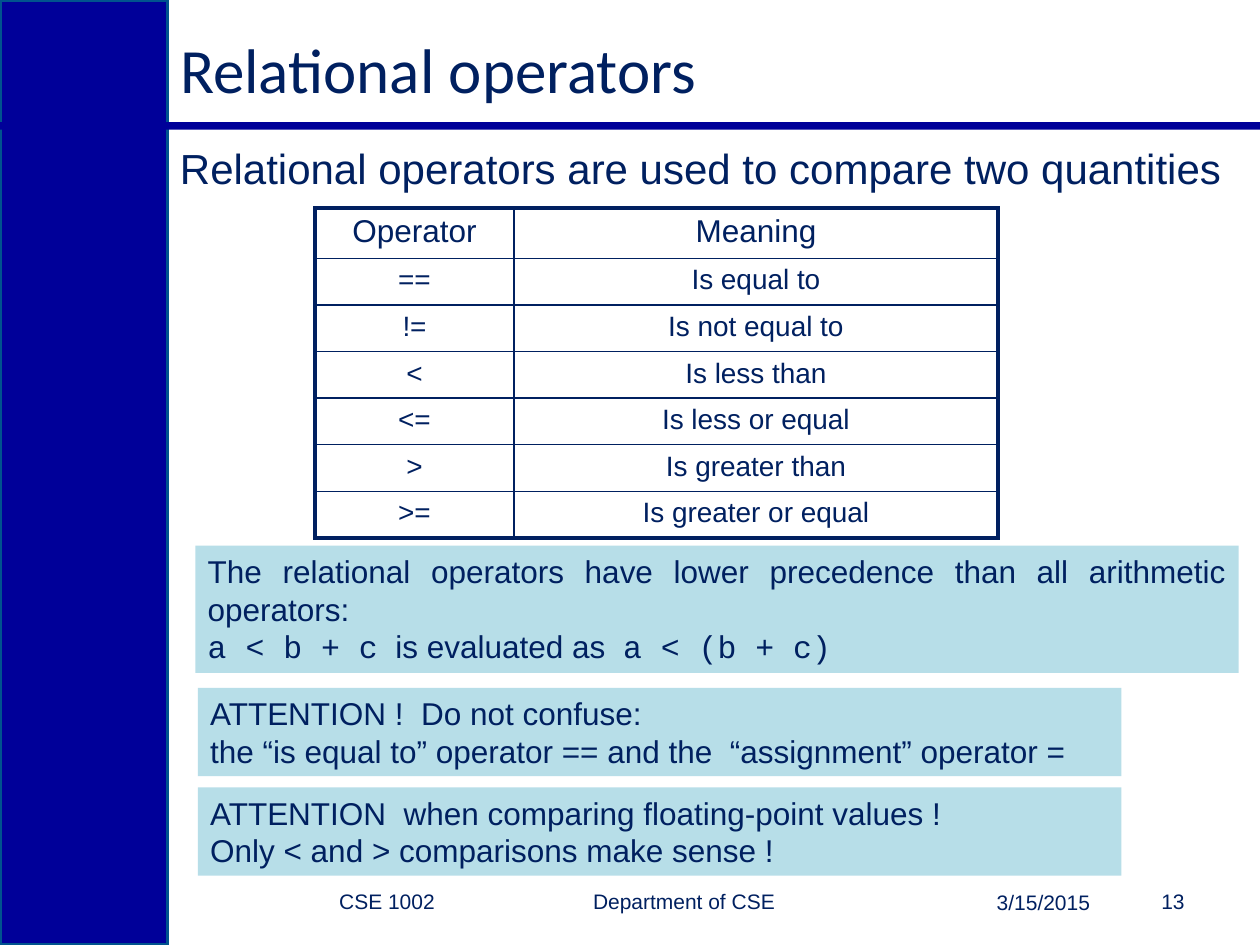
from dataclasses import dataclass

from lxml import etree
from pptx import Presentation
from pptx.dml.color import RGBColor
from pptx.enum.shapes import MSO_SHAPE
from pptx.enum.text import MSO_ANCHOR, MSO_AUTO_SIZE, PP_ALIGN
from pptx.oxml.ns import qn
from pptx.util import Inches, Pt

LEFT, CENTER, RIGHT, JUSTIFY = PP_ALIGN.LEFT, PP_ALIGN.CENTER, PP_ALIGN.RIGHT, PP_ALIGN.JUSTIFY
TOP, MIDDLE = MSO_ANCHOR.TOP, MSO_ANCHOR.MIDDLE
RECTANGLE = MSO_SHAPE.RECTANGLE
TITLE_ONLY = 5


@dataclass(frozen=True)
class Theme:
    ink: str = "002060"
    band: str = "000099"
    band_edge: str = "00538E"
    note: str = "B7DEE8"
    title_font: str = "Calibri"
    body_font: str = "Arial"
    code_font: str = "Courier New"
    title_size: int = 36
    lead_size: int = 24
    body_size: int = 18
    cell_size: int = 16
    footer_size: int = 12
    outer_border: float = 2.25
    inner_border: float = 1


class SlideBuilder:
    def __init__(self, slide, theme):
        self.slide = slide
        self.theme = theme

    def format_run(self, run, size, font=None):
        run.font.name = font or self.theme.body_font
        run.font.size = Pt(size)
        run.font.color.rgb = RGBColor.from_string(self.theme.ink)

    def format_text(self, text_frame, size, alignment, anchor, font=None):
        text_frame.word_wrap = True
        text_frame.vertical_anchor = anchor
        for paragraph in text_frame.paragraphs:
            paragraph.alignment = alignment
            for run in paragraph.runs:
                self.format_run(run, size, font)

    def title(self, text, left, top, width, height):
        shape = self.slide.shapes.title
        shape.left, shape.top = Inches(left), Inches(top)
        shape.width, shape.height = Inches(width), Inches(height)
        shape.text_frame.text = text
        shape.text_frame.auto_size = MSO_AUTO_SIZE.NONE
        self.format_text(shape.text_frame, self.theme.title_size, LEFT, MIDDLE,
                         self.theme.title_font)

    def rectangle(self, left, top, width, height, fill, edge=None):
        shape = self.slide.shapes.add_shape(
            RECTANGLE, Inches(left), Inches(top), Inches(width), Inches(height))
        shape.shadow.inherit = False
        shape.fill.solid()
        shape.fill.fore_color.rgb = RGBColor.from_string(fill)
        if edge:
            shape.line.color.rgb = RGBColor.from_string(edge)
            shape.line.width = Pt(2)
        else:
            shape.line.fill.background()
        return shape

    def text(self, text, left, top, width, height, size, alignment=LEFT, anchor=TOP):
        box = self.slide.shapes.add_textbox(
            Inches(left), Inches(top), Inches(width), Inches(height))
        box.text_frame.text = text
        self.format_text(box.text_frame, size, alignment, anchor)

    def note(self, lines, left, top, width, height):
        """Draw a tinted box; each line is a list of (text, is_code) pieces."""
        text_frame = self.rectangle(left, top, width, height, self.theme.note).text_frame
        for index, pieces in enumerate(lines):
            paragraph = text_frame.add_paragraph() if index else text_frame.paragraphs[0]
            for piece, is_code in pieces:
                paragraph.add_run().text = piece
        self.format_text(text_frame, self.theme.body_size, JUSTIFY, TOP)
        for paragraph, pieces in zip(text_frame.paragraphs, lines):
            for run, (_, is_code) in zip(paragraph.runs, pieces):
                if is_code:
                    run.font.name = self.theme.code_font

    def cell_borders(self, cell, outer_sides):
        """Line all four sides, heavier where the side is on the table's edge."""
        properties = cell._tc.get_or_add_tcPr()
        for index, side in enumerate("LRTB"):
            width = self.theme.outer_border if side in outer_sides else self.theme.inner_border
            line = etree.Element(qn(f"a:ln{side}"), w=str(Pt(width)))
            fill = etree.SubElement(line, qn("a:solidFill"))
            etree.SubElement(fill, qn("a:srgbClr"), val=self.theme.ink)
            properties.insert(index, line)

    def table(self, rows, left, top, column_widths, row_heights):
        table = self.slide.shapes.add_table(
            len(rows), len(column_widths), Inches(left), Inches(top),
            Inches(sum(column_widths)), Inches(sum(row_heights))).table
        table.first_row = table.horz_banding = False
        for column, width in zip(table.columns, column_widths):
            column.width = Inches(width)
        last_row, last_column = len(rows) - 1, len(column_widths) - 1
        for row_index, values in enumerate(rows):
            table.rows[row_index].height = Inches(row_heights[row_index])
            size = self.theme.cell_size if row_index else self.theme.body_size
            for column_index, value in enumerate(values):
                cell = table.cell(row_index, column_index)
                cell.text_frame.text = value
                cell.margin_left = cell.margin_right = Inches(0.16)
                cell.margin_top = cell.margin_bottom = Inches(0.05)
                cell.fill.background()
                self.format_text(cell.text_frame, size, CENTER, TOP)
                cell.text_frame.paragraphs[0].space_before = Pt(size * 0.2)
                on_edge = {"L": column_index == 0, "R": column_index == last_column,
                           "T": row_index == 0, "B": row_index == last_row}
                self.cell_borders(cell, [side for side, outer in on_edge.items() if outer])


OPERATORS = [
    ("Operator", "Meaning"),
    ("==", "Is equal to"),
    ("!=", "Is not equal to"),
    ("<", "Is less than"),
    ("<=", "Is less or equal"),
    (">", "Is greater than"),
    (">=", "Is greater or equal"),
]
PRECEDENCE = [
    [("The relational operators have lower precedence than all arithmetic operators:", False)],
    [("a < b + c", True), ("  is evaluated as  ", False), ("a < (b + c)", True)],
]
EQUALITY = [
    [("ATTENTION !  Do not confuse:", False)],
    [("the “is equal to” operator == and the  “assignment” operator =", False)],
]
FLOATING_POINT = [
    [("ATTENTION  when comparing floating-point values !", False)],
    [("Only < and > comparisons make sense !", False)],
]
FOOTERS = [
    ("CSE 1002", 1.42, 6.95, 2.13),
    ("Department of CSE", 3.55, 6.95, 2.7),
    ("13", 8.75, 6.95, 0.75),
    ("3/15/2015", 7, 6.96, 1.75),
]


def main():
    presentation = Presentation()
    presentation.slide_width, presentation.slide_height = Inches(10), Inches(7.5)
    theme = Theme()
    slide = presentation.slides.add_slide(presentation.slide_layouts[TITLE_ONLY])
    builder = SlideBuilder(slide, theme)

    builder.rectangle(0, 0, 1.33, 7.5, theme.band, theme.band_edge)
    builder.rectangle(0, 0.97, 10, 0.06, theme.band)
    builder.title("Relational operators", 1.33, 0.17, 7.83, 0.75)
    builder.text("Relational operators are used to compare two quantities",
                 1.33, 1.08, 8.6, 0.5, theme.lead_size)
    builder.table(OPERATORS, 2.5, 1.65, [1.58, 3.84], [0.4] + [0.37] * 6)
    builder.note(PRECEDENCE, 1.55, 4.33, 8.28, 1.01)
    builder.note(EQUALITY, 1.57, 5.46, 7.33, 0.7)
    builder.note(FLOATING_POINT, 1.57, 6.25, 7.33, 0.7)
    for text, left, top, width in FOOTERS:
        builder.text(text, left, top, width, 0.4, theme.footer_size, RIGHT, MIDDLE)

    presentation.save("out.pptx")


if __name__ == "__main__":
    main()
